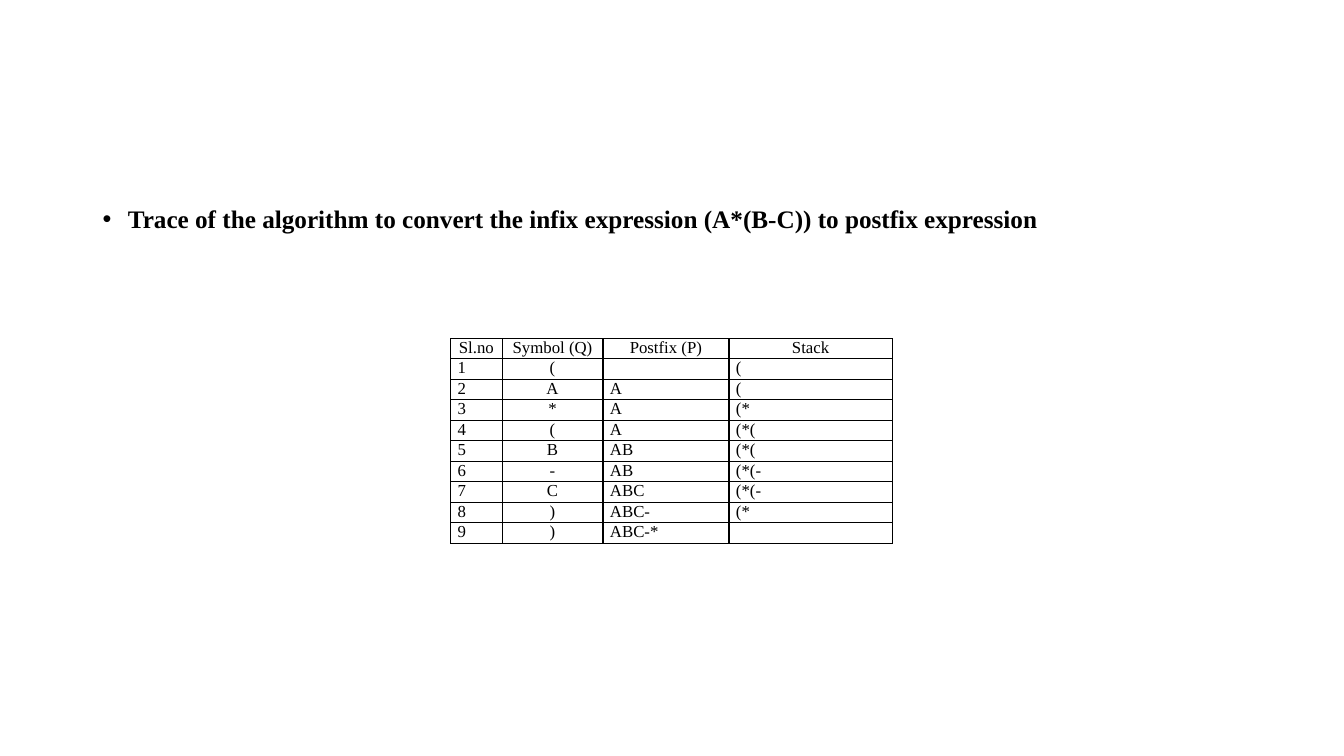
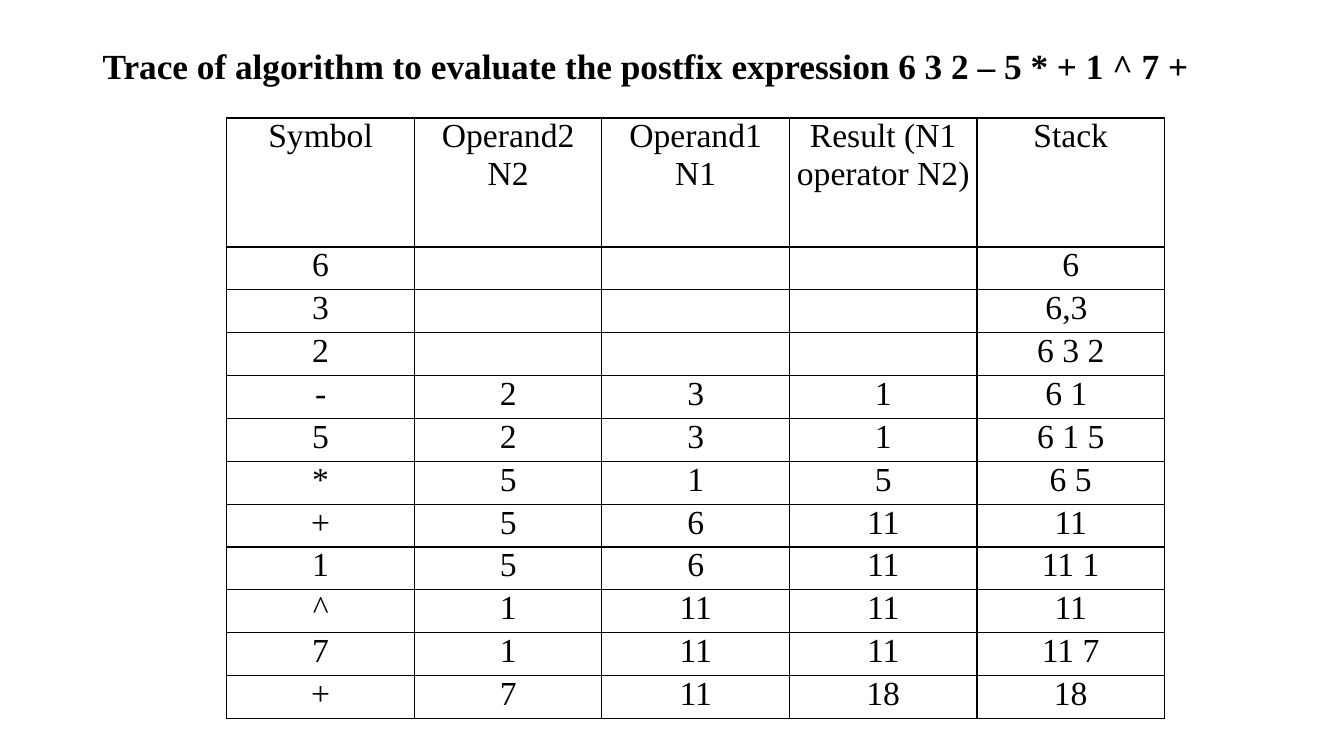
"""Build two slides that trace infix conversion and postfix evaluation."""
from lxml.etree import SubElement
from pptx import Presentation
from pptx.dml.color import RGBColor
from pptx.enum.text import MSO_ANCHOR, PP_ALIGN
from pptx.oxml.ns import qn
from pptx.util import Inches, Pt

BLACK = RGBColor(0x00, 0x00, 0x00)
FONT = "Times New Roman"
LEFT, CENTER, JUSTIFY = PP_ALIGN.LEFT, PP_ALIGN.CENTER, PP_ALIGN.JUSTIFY
BORDER_SIDES = ("a:lnL", "a:lnR", "a:lnT", "a:lnB")

CONVERSION_ROWS = [
    ("Sl.no", "Symbol (Q)", "Postfix (P)", "Stack"),
    ("1", "(", "", "("),
    ("2", "A", "A", "("),
    ("3", "*", "A", "(*"),
    ("4", "(", "A", "(*("),
    ("5", "B", "AB", "(*("),
    ("6", "-", "AB", "(*(-"),
    ("7", "C", "ABC", "(*(-"),
    ("8", ")", "ABC-", "(*"),
    ("9", ")", "ABC-*", ""),
]
EVALUATION_ROWS = [
    ("Symbol", "Operand2 N2", "Operand1 N1", "Result (N1 operator N2)", "Stack"),
    ("6", "", "", "", "6"),
    ("3", "", "", "", "6,3 "),
    ("2", "", "", "", "6 3 2"),
    ("-", "2", "3", "1", "6 1 "),
    ("5", "2", "3", "1", "6 1 5"),
    ("*", "5", "1", "5", "6 5"),
    ("+", "5", "6", "11", "11"),
    ("1", "5", "6", "11", "11 1"),
    ("^", "1", "11", "11", "11"),
    ("7", "1", "11", "11", "11 7"),
    ("+", "7", "11", "18", "18"),
]
SLIDES = [
    dict(
        heading="Trace of the algorithm to convert the infix expression (A*(B-C)) to postfix expression",
        heading_top=2, heading_size=18, bullet=True,
        table=dict(rows=CONVERSION_ROWS, left=4.47, top=3.36, height=2.03,
                   header_height=0.2, widths=(0.51, 1, 1.25, 1.62), size=12,
                   alignments=(JUSTIFY, CENTER, JUSTIFY, JUSTIFY)),
    ),
    dict(
        heading="Trace of algorithm to evaluate the postfix expression 6 3 2 – 5 * + 1 ^ 7 +",
        heading_top=0.4, heading_size=25.2, bullet=False,
        table=dict(rows=EVALUATION_ROWS, left=2.25, top=1.17, height=5.96,
                   header_height=1.28, widths=(1.86,) * 5, size=24,
                   alignments=(CENTER,) * 5),
    ),
]


def write_text(frame, text, size, bold=False, align=LEFT, bullet=False, spacing=None):
    paragraph = frame.paragraphs[0]
    if bullet:
        properties = paragraph._p.get_or_add_pPr()
        properties.set("marL", str(Inches(0.25)))
        properties.set("indent", str(Inches(-0.25)))
        SubElement(properties, qn("a:buFont"), typeface="Arial")
        SubElement(properties, qn("a:buChar"), char="•")
    paragraph.alignment = align
    paragraph.line_spacing = spacing
    if not text:
        SubElement(paragraph._p, qn("a:endParaRPr"), sz=str(round(size * 100)))
        return
    run = paragraph.add_run()
    run.text = text
    run.font.name = FONT
    run.font.size = Pt(size)
    run.font.bold = bold
    run.font.color.rgb = BLACK


def add_heading(slide, text, top, size, bullet):
    box = slide.shapes.add_textbox(Inches(0.92), Inches(top), Inches(11.5), Inches(0.55))
    box.text_frame.word_wrap = True
    box.text_frame.vertical_anchor = MSO_ANCHOR.TOP if bullet else MSO_ANCHOR.MIDDLE
    write_text(box.text_frame, text, size, bold=True, bullet=bullet, spacing=0.9)


def outline_cell(cell):
    properties = cell._tc.get_or_add_tcPr()
    for side in BORDER_SIDES:
        line = SubElement(properties, qn(side), w=str(Pt(1)))
        fill = SubElement(line, qn("a:solidFill"))
        SubElement(fill, qn("a:srgbClr"), val=str(BLACK))
    cell.fill.background()


def add_trace_table(slide, rows, left, top, height, header_height, widths, size, alignments):
    shape = slide.shapes.add_table(len(rows), len(widths), Inches(left), Inches(top),
                                   Inches(sum(widths)), Inches(height))
    table = shape.table
    table.first_row = table.horz_banding = False
    for column, width in zip(table.columns, widths):
        column.width = Inches(width)
    body_height = (height - header_height) / (len(rows) - 1)
    for row_index, values in enumerate(rows):
        table.rows[row_index].height = Inches(body_height if row_index else header_height)
        for column_index, value in enumerate(values):
            cell = table.cell(row_index, column_index)
            cell.margin_left = cell.margin_right = Inches(0.07)
            cell.margin_top = cell.margin_bottom = 0
            align = alignments[column_index] if row_index else CENTER
            write_text(cell.text_frame, value, size, align=align)
            outline_cell(cell)


def main():
    presentation = Presentation()
    presentation.slide_width = Inches(13.33)
    presentation.slide_height = Inches(7.5)
    for content in SLIDES:
        slide = presentation.slides.add_slide(presentation.slide_layouts[6])
        add_heading(slide, content["heading"], content["heading_top"],
                    content["heading_size"], content["bullet"])
        add_trace_table(slide, **content["table"])
    presentation.save("out.pptx")


if __name__ == "__main__":
    main()
